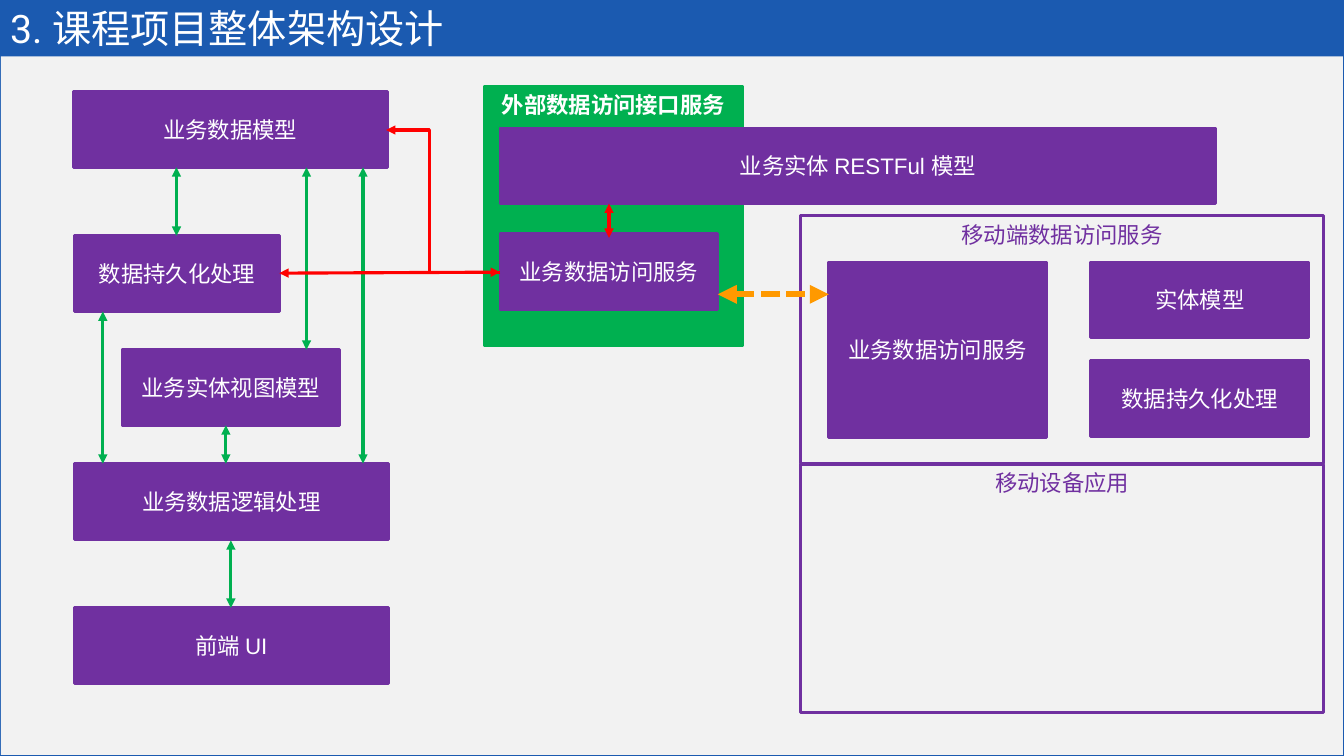
from pptx import Presentation
from pptx.dml.color import RGBColor
from pptx.enum.dml import MSO_LINE
from pptx.enum.shapes import MSO_CONNECTOR, MSO_SHAPE
from pptx.enum.text import MSO_ANCHOR, MSO_AUTO_SIZE, PP_ALIGN
from pptx.oxml.ns import qn
from pptx.util import Inches, Pt
from lxml import etree

RECTANGLE = MSO_SHAPE.RECTANGLE
STRAIGHT, ELBOW = MSO_CONNECTOR.STRAIGHT, MSO_CONNECTOR.ELBOW
SQUARE_DOT = MSO_LINE.SQUARE_DOT
TOP, MIDDLE = MSO_ANCHOR.TOP, MSO_ANCHOR.MIDDLE
LEFT, CENTER = PP_ALIGN.LEFT, PP_ALIGN.CENTER
NO_AUTOFIT = MSO_AUTO_SIZE.NONE

BLUE = RGBColor(0x1B, 0x5A, 0xB0)
PALE = RGBColor(0xF2, 0xF2, 0xF2)
PURPLE = RGBColor(0x70, 0x30, 0xA0)
GREEN = RGBColor(0x00, 0xB0, 0x50)
RED = RGBColor(0xFF, 0x00, 0x00)
ORANGE = RGBColor(0xFF, 0x99, 0x00)
WHITE = RGBColor(0xFF, 0xFF, 0xFF)

BOX_HEIGHT = 0.75
SERVICE_WIDTH = 2.16
WIDE_WIDTH = 3.11


class ArchitectureSlide:
    """Draws the parts of an architecture diagram in one style."""

    def __init__(self, page):
        self.page = page
        self.font = "Arial"
        self.title_font = "Roboto"
        self.size = Pt(16)
        self.title_size = Pt(28)
        self.border = Pt(2)

    def background(self, color):
        fill = self.page.background.fill
        fill.solid()
        fill.fore_color.rgb = color

    def add_text(self, frame, text, font, size, color, align, bold=False):
        para = frame.paragraphs[0]
        para.alignment = align
        para.space_before = Pt(0)
        span = para.add_run()
        span.text = text
        span.font.name = font
        span.font.size = size
        span.font.bold = bold
        span.font.color.rgb = color

    def title(self, text):
        title = self.page.shapes.title
        title.left, title.top = Inches(0), Inches(0.01)
        title.width, title.height = Inches(13.33), Inches(0.54)
        frame = title.text_frame
        frame.auto_size = NO_AUTOFIT
        frame.vertical_anchor = MIDDLE
        self.add_text(frame, text, self.title_font, self.title_size, WHITE, LEFT)

    def panel(self, left, top, width, height, fill=None, line=None):
        box = self.page.shapes.add_shape(
            RECTANGLE, Inches(left), Inches(top), Inches(width), Inches(height))
        box.shadow.inherit = False
        if fill is None:
            box.fill.background()
        else:
            box.fill.solid()
            box.fill.fore_color.rgb = fill
        if line is None:
            box.line.fill.background()
        else:
            box.line.color.rgb = line
            box.line.width = self.border
        return box

    def label(self, box, text, color, anchor, bold=False):
        frame = box.text_frame
        frame.word_wrap = True
        frame.vertical_anchor = anchor
        self.add_text(frame, text, self.font, self.size, color, CENTER, bold)

    def module(self, text, left, top, width, height=BOX_HEIGHT):
        box = self.panel(left, top, width, height, PURPLE, PURPLE)
        self.label(box, text, WHITE, MIDDLE)

    def group(self, text, left, top, width, height, line, color, fill=None, bold=False):
        box = self.panel(left, top, width, height, fill, line)
        self.label(box, text, color, TOP, bold)

    def arrow(self, start, end, color, width=2.25, kind=STRAIGHT,
              ends=("headEnd", "tailEnd"), dash=None, bend=None):
        points = [Inches(value) for value in (*start, *end)]
        arrow = self.page.shapes.add_connector(kind, *points)
        arrow.line.color.rgb = color
        arrow.line.width = Pt(width)
        if dash is not None:
            arrow.line.dash_style = dash
        properties = arrow._element.spPr
        outline = properties.find(qn("a:ln"))
        for name in ends:
            etree.SubElement(outline, qn(f"a:{name}"), type="triangle")
        etree.SubElement(properties, qn("a:effectLst"))
        if bend is not None:
            guides = properties.find(qn("a:prstGeom")).get_or_add_avLst()
            etree.SubElement(guides, qn("a:gd"), name="adj1",
                             fmla=f"val {round(bend * 100000)}")


def main():
    deck = Presentation()
    deck.slide_width, deck.slide_height = Inches(13.33), Inches(7.5)
    page = deck.slides.add_slide(deck.slide_layouts[5])
    diagram = ArchitectureSlide(page)

    diagram.background(BLUE)
    diagram.title("3. 课程项目整体架构设计")
    diagram.panel(0.01, 0.56, 13.31, 6.93, PALE)

    for text, left, top, width in (
        ("业务数据模型", 0.73, 0.91, WIDE_WIDTH),
        ("数据持久化处理", 0.74, 2.34, 2.03),
        ("业务实体视图模型", 1.21, 3.47, SERVICE_WIDTH),
        ("业务数据逻辑处理", 0.74, 4.6, WIDE_WIDTH),
        ("前端 UI", 0.74, 6.03, WIDE_WIDTH),
    ):
        diagram.module(text, left, top, width)

    for x, top, bottom in (
        (3.6, 1.66, 4.6),
        (3.04, 1.66, 3.47),
        (1.75, 1.66, 2.34),
        (1.02, 3.09, 4.6),
        (2.24, 4.22, 4.6),
        (2.29, 5.36, 6.03),
    ):
        diagram.arrow((x, top), (x, bottom), GREEN)

    diagram.group("外部数据访问接口服务", 4.8, 0.86, 2.57, 2.57,
                  GREEN, WHITE, fill=GREEN, bold=True)
    diagram.arrow((4.96, 2.7), (2.77, 2.71), RED)
    diagram.module("业务实体 RESTFul 模型", 4.96, 1.27, 7.1)
    diagram.module("业务数据访问服务", 4.96, 2.32, SERVICE_WIDTH)
    diagram.arrow((4.96, 2.7), (3.83, 1.29), RED, kind=ELBOW,
                  ends=("tailEnd",), bend=0.62)
    diagram.arrow((6.04, 2.02), (6.04, 2.36), RED)

    diagram.module("业务数据访问服务", 8.22, 2.6, SERVICE_WIDTH, 1.74)
    for text, top in (("实体模型", 2.6), ("数据持久化处理", 3.58)):
        diagram.module(text, 10.82, top, SERVICE_WIDTH)
    for text, top in (("移动端数据访问服务", 2.14), ("移动设备应用", 4.61)):
        diagram.group(text, 7.94, top, 5.19, 2.46, PURPLE, PURPLE)
    diagram.arrow((7.12, 2.92), (8.22, 2.92), ORANGE, width=4.5, dash=SQUARE_DOT)

    deck.save("out.pptx")


if __name__ == "__main__":
    main()
